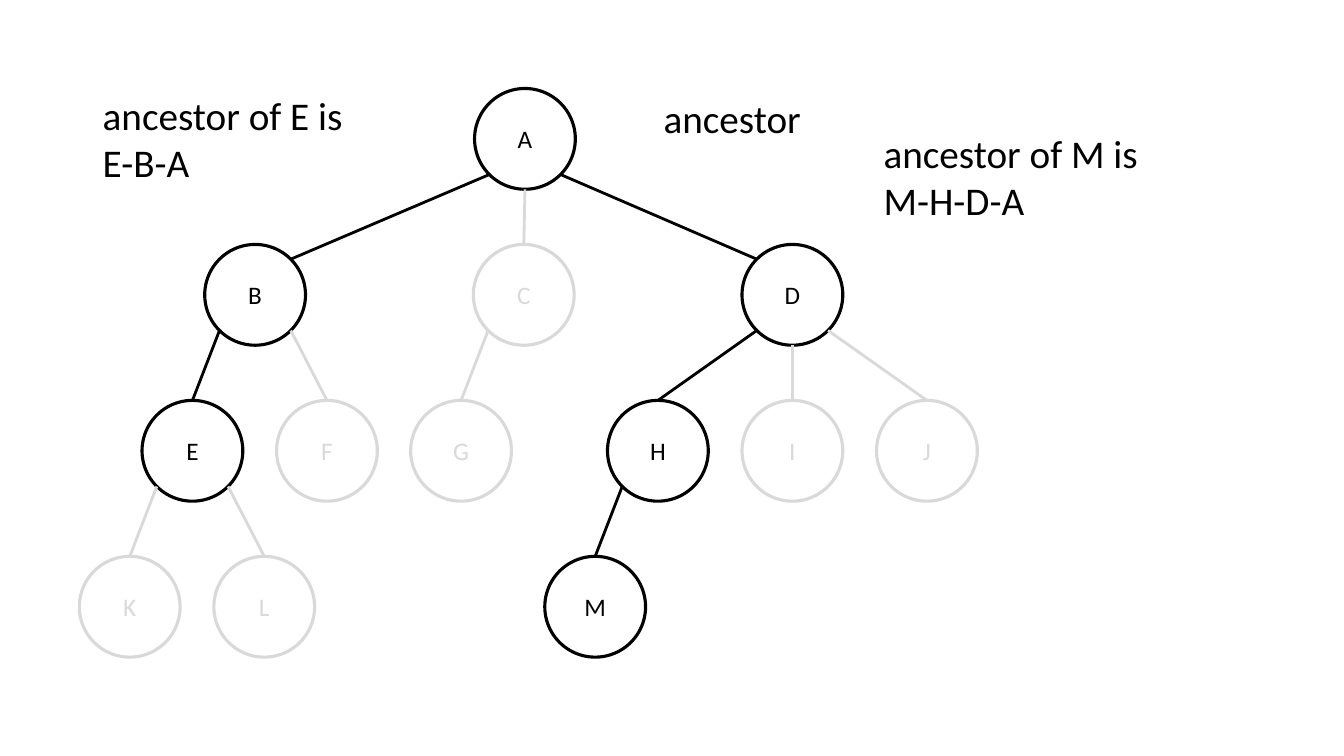
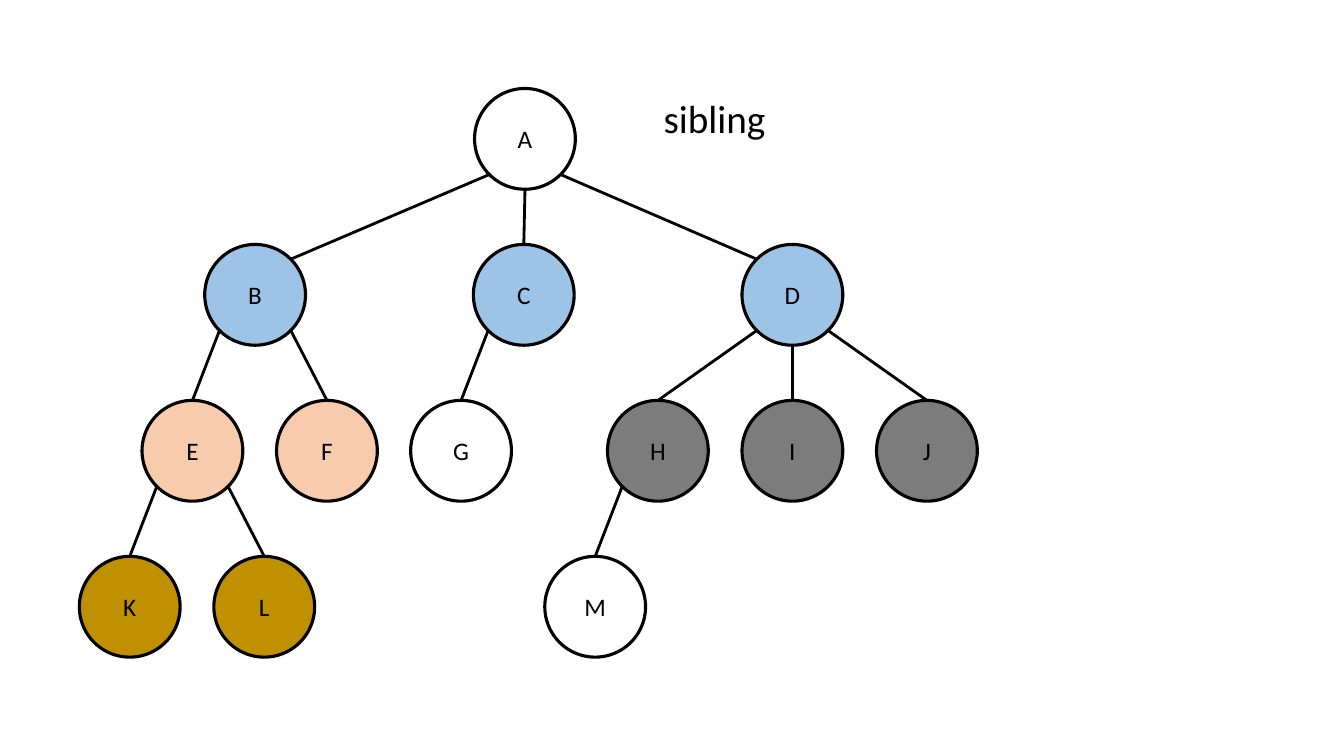
from dataclasses import dataclass, field
from math import cos, pi, sin

from lxml.etree import SubElement
from pptx import Presentation
from pptx.dml.color import RGBColor
from pptx.enum.shapes import MSO_CONNECTOR as Connector, MSO_SHAPE as Preset
from pptx.enum.text import MSO_ANCHOR as Anchor, MSO_AUTO_SIZE as AutoSize, PP_ALIGN as Align
from pptx.oxml.ns import qn
from pptx.shapes.autoshape import Shape
from pptx.slide import Slide
from pptx.text.text import TextFrame
from pptx.util import Cm, Pt

FONT = "Calibri"
BLACK = RGBColor(0x00, 0x00, 0x00)
WHITE = RGBColor(0xFF, 0xFF, 0xFF)
FADED = RGBColor(0xD9, 0xD9, 0xD9)
BLUE = RGBColor(0x9D, 0xC3, 0xE6)
PEACH = RGBColor(0xF8, 0xCB, 0xAD)
GREY = RGBColor(0x7C, 0x7C, 0x7C)
GOLD = RGBColor(0xBF, 0x90, 0x00)

DIAMETER = 2.54
LEVEL_STEP = 3.93
SIBLING_STEP = 3.39
BRANCH_STEP = 6.77
LEAN = -1.58
ROOT = "A"
ROOT_CENTER = (13.23, 3.5)
WIDE_OFFSET = 5

TOP, TOP_LEFT, BOTTOM_LEFT, BOTTOM, BOTTOM_RIGHT, TOP_RIGHT = 0, 1, 3, 4, 5, 7


@dataclass(frozen=True)
class Family:
    parent: str
    children: str
    first_offset: float
    step: float = SIBLING_STEP


@dataclass(frozen=True)
class Note:
    text: str
    left: float
    top: float
    width: float


@dataclass(frozen=True)
class TreeSlide:
    title: str
    active: str = "ABCDEFGHIJKLM"
    fills: dict[str, RGBColor] = field(default_factory=dict)
    notes: tuple[Note, ...] = ()


FAMILIES = (
    Family("A", "BCD", -6.8, BRANCH_STEP),
    Family("B", "EF", LEAN),
    Family("C", "G", LEAN),
    Family("D", "HIJ", -SIBLING_STEP),
    Family("E", "KL", LEAN),
    Family("H", "M", LEAN),
)

SIBLING_FILLS = {"BCD": BLUE, "EF": PEACH, "HIJ": GREY, "KL": GOLD}

TREE_SLIDES = (
    TreeSlide(
        "ancestor",
        active="ABDEHM",
        notes=(
            Note("ancestor of M is\nM-H-D-A", 22.02, 3.14, 7.2),
            Note("ancestor of E is\nE-B-A", 2.34, 2.18, 6.8),
        ),
    ),
    TreeSlide(
        "sibling",
        fills={name: color for group, color in SIBLING_FILLS.items() for name in group},
    ),
)


def write_text(
    frame: TextFrame,
    text: str,
    *,
    size: int = 28,
    color: RGBColor = BLACK,
    align: Align = Align.LEFT,
    anchor: Anchor = Anchor.TOP,
) -> None:
    frame.text = text
    frame.word_wrap = True
    frame.auto_size = AutoSize.NONE
    frame.vertical_anchor = anchor
    for paragraph in frame.paragraphs:
        paragraph.alignment = align
        paragraph.space_before = Pt(0)
        paragraph.font.name = FONT
        paragraph.font.size = Pt(size)
        paragraph.font.color.rgb = color


def node_centers() -> dict[str, tuple[float, float]]:
    centers = {ROOT: ROOT_CENTER}
    for family in FAMILIES:
        x, y = centers[family.parent]
        for index, child in enumerate(family.children):
            offset = family.first_offset + index * family.step
            centers[child] = (x + offset, y + LEVEL_STEP)
    return centers


def add_node(
    slide: Slide, name: str, center: tuple[float, float], color: RGBColor, fill: RGBColor
) -> Shape:
    x, y = center
    shape = slide.shapes.add_shape(
        Preset.OVAL, Cm(x - DIAMETER / 2), Cm(y - DIAMETER / 2), Cm(DIAMETER), Cm(DIAMETER)
    )
    shape.shadow.inherit = False
    shape.fill.solid()
    shape.fill.fore_color.rgb = fill
    shape.line.color.rgb = color
    shape.line.width = Pt(2.25)
    write_text(
        shape.text_frame, name, size=18, color=color, align=Align.CENTER, anchor=Anchor.MIDDLE
    )
    return shape


def site_point(shape: Shape, site: int) -> tuple[int, int]:
    angle = site * pi / 4
    radius = shape.width / 2
    x = shape.left + radius * (1 - sin(angle))
    y = shape.top + radius * (1 - cos(angle))
    return round(x), round(y)


def edge_sites(offset: float) -> tuple[int, int]:
    if abs(offset) < 0.1:
        return BOTTOM, TOP
    start, corner = (BOTTOM_LEFT, TOP_RIGHT) if offset < 0 else (BOTTOM_RIGHT, TOP_LEFT)
    return start, corner if abs(offset) > WIDE_OFFSET else TOP


def add_edge(slide: Slide, parent: Shape, child: Shape, offset: float, color: RGBColor) -> None:
    start, end = edge_sites(offset)
    connector = slide.shapes.add_connector(
        Connector.STRAIGHT, *site_point(parent, start), *site_point(child, end)
    )
    connector.line.color.rgb = color
    connector.line.width = Pt(2)
    element = connector._element
    SubElement(element.spPr, qn("a:effectLst"))
    links = element.find(".//" + qn("p:cNvCxnSpPr"))
    for tag, shape, site in (("a:stCxn", parent, start), ("a:endCxn", child, end)):
        SubElement(links, qn(tag), id=str(shape.shape_id), idx=str(site))


def add_tree(slide: Slide, content: TreeSlide) -> None:
    centers = node_centers()
    colors = {name: BLACK if name in content.active else FADED for name in centers}
    nodes = {
        name: add_node(slide, name, center, colors[name], content.fills.get(name, WHITE))
        for name, center in centers.items()
    }
    for family in FAMILIES:
        for child in family.children:
            offset = centers[child][0] - centers[family.parent][0]
            add_edge(slide, nodes[family.parent], nodes[child], offset, colors[child])


def add_title(slide: Slide, text: str) -> None:
    title = slide.shapes.title
    title.left, title.top, title.width, title.height = Cm(16.47), Cm(2.26), Cm(4.6), Cm(1.45)
    write_text(title.text_frame, text)


def add_note(slide: Slide, note: Note) -> None:
    box = slide.shapes.add_textbox(Cm(note.left), Cm(note.top), Cm(note.width), Cm(2.64))
    write_text(box.text_frame, note.text)


def main() -> None:
    presentation = Presentation()
    presentation.slide_width, presentation.slide_height = Cm(33.87), Cm(19.05)
    title_only = presentation.slide_layouts[5]
    for content in TREE_SLIDES:
        slide = presentation.slides.add_slide(title_only)
        add_title(slide, content.title)
        add_tree(slide, content)
        for note in content.notes:
            add_note(slide, note)
    presentation.save("out.pptx")


if __name__ == "__main__":
    main()
